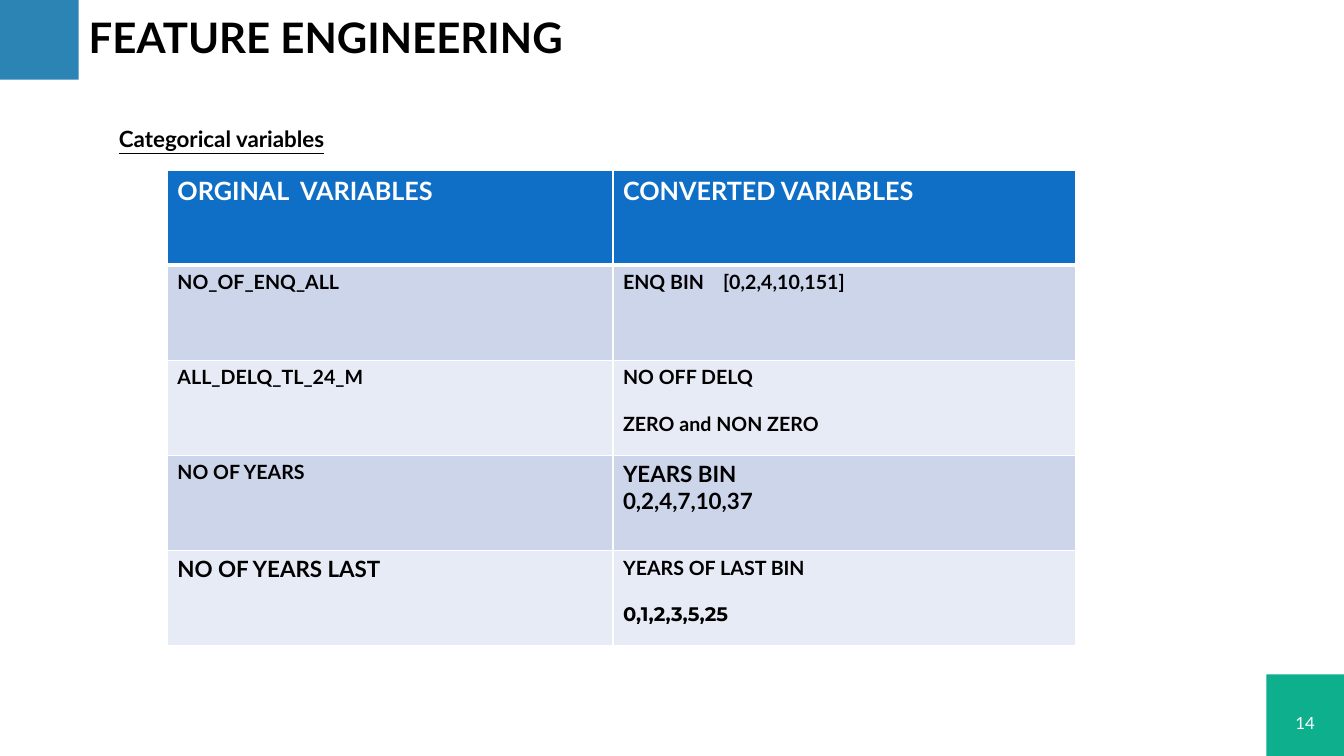
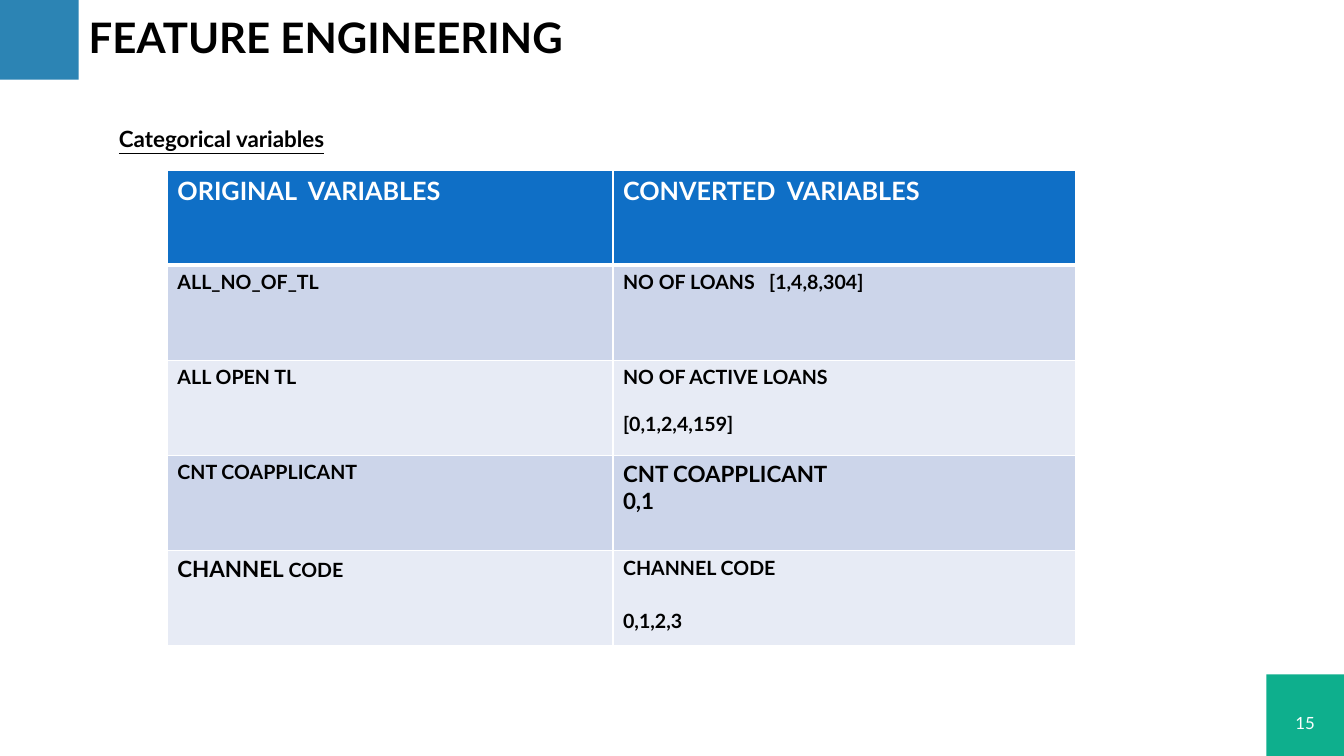
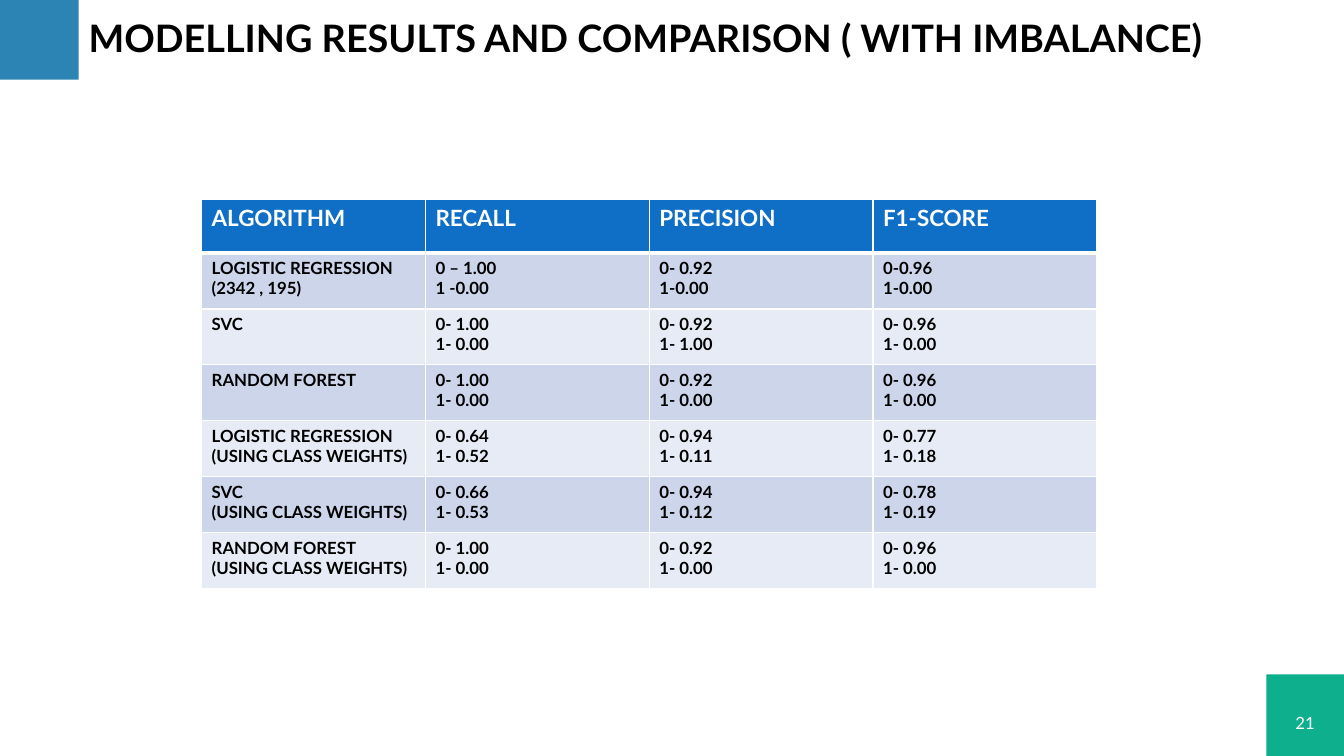
from dataclasses import dataclass

from lxml.etree import SubElement
from pptx import Presentation
from pptx.dml.color import RGBColor
from pptx.enum.shapes import MSO_SHAPE as Preset
from pptx.enum.text import MSO_ANCHOR as Anchor, MSO_AUTO_SIZE as AutoSize, PP_ALIGN as Align
from pptx.oxml.ns import qn
from pptx.oxml.xmlchemy import OxmlElement
from pptx.util import Inches, Pt

LATO, MONTSERRAT = "Lato", "Montserrat"
BLACK, WHITE = "000000", "FFFFFF"
HEADER_FILL = "0F6FC6"
ROW_FILLS = ("CCD5EA", "E7EBF5")
TITLE_AND_BODY, TITLE_ONLY = 1, 5


@dataclass(frozen=True)
class Band:
    left: float
    top: float
    width: float
    height: float
    fill: str


@dataclass(frozen=True)
class Line:
    """One paragraph of a cell; the tail follows in the table's normal size."""
    text: str
    size: float | None = None
    gap: float = 0
    font: str = LATO
    tail: str = ""


Cell = str | tuple[str | Line, ...]


@dataclass(frozen=True)
class Grid:
    left: float
    top: float
    height: float
    header_height: float
    columns: tuple[float, ...]
    header_size: float
    body_size: float
    rows: tuple[tuple[Cell, ...], ...]


@dataclass(frozen=True)
class Page:
    number: int
    title: str
    title_size: float
    grid: Grid
    subtitle: str = ""


BANDS = (
    Band(0, 0, 0.78, 0.79, "2C84B4"),
    Band(12.56, 6.69, 0.78, 0.81, "0EAF8D"),
)


def variables_page(number: int, *rows: tuple[Cell, Cell]) -> Page:
    grid = Grid(1.66, 1.69, 4.72, 0.94, (4.42, 4.59), 18, 14, rows)
    return Page(number, "FEATURE ENGINEERING", 30, grid, "Categorical variables")


PAGES = (
    variables_page(
        14,
        ("ORGINAL  VARIABLES", "CONVERTED VARIABLES"),
        ("NO_OF_ENQ_ALL", "ENQ BIN    [0,2,4,10,151]"),
        ("ALL_DELQ_TL_24_M", ("NO OFF DELQ", Line("ZERO and NON ZERO", gap=16.8))),
        ("NO OF YEARS", (Line("YEARS BIN", 16), Line("0,2,4,7,10,37", 16))),
        ((Line("NO OF YEARS LAST", 16),),
         ("YEARS OF LAST BIN", Line("0,1,2,3,5,25", gap=16.8, font=MONTSERRAT))),
    ),
    variables_page(
        15,
        ("ORIGINAL  VARIABLES", "CONVERTED  VARIABLES"),
        ("ALL_NO_OF_TL", "NO OF LOANS   [1,4,8,304]"),
        ("ALL OPEN TL", ("NO OF ACTIVE LOANS", Line("[0,1,2,4,159]", gap=16.8))),
        ("CNT COAPPLICANT", (Line("CNT COAPPLICANT", 16), Line("0,1", 16))),
        ((Line("CHANNEL ", 16, tail="CODE"),),
         ("CHANNEL CODE", Line("0,1,2,3", gap=21.6))),
    ),
    Page(21, "MODELLING RESULTS AND COMPARISON ( WITH IMBALANCE)", 27, Grid(
        2, 1.98, 3.86, 0.53, (2.22,) * 4, 16, 12, (
            ("ALGORITHM", "RECALL", "PRECISION", "F1-SCORE"),
            (("LOGISTIC REGRESSION", "(2342 , 195)"),
             ("0 – 1.00", "1 -0.00"), ("0- 0.92", "1-0.00"), ("0-0.96", "1-0.00")),
            ("SVC",
             ("0- 1.00", "1- 0.00"), ("0- 0.92", "1- 1.00"), ("0- 0.96", "1- 0.00")),
            ("RANDOM FOREST",
             ("0- 1.00", "1- 0.00"), ("0- 0.92", "1- 0.00"), ("0- 0.96", "1- 0.00")),
            (("LOGISTIC REGRESSION", "(USING CLASS WEIGHTS)"),
             ("0- 0.64", "1- 0.52"), ("0- 0.94", "1- 0.11"), ("0- 0.77", "1- 0.18")),
            (("SVC", "(USING CLASS WEIGHTS)"),
             ("0- 0.66", "1- 0.53"), ("0- 0.94", "1- 0.12"), ("0- 0.78", "1- 0.19")),
            (("RANDOM FOREST", "(USING CLASS WEIGHTS)"),
             ("0- 1.00", "1- 0.00"), ("0- 0.92", "1- 0.00"), ("0- 0.96", "1- 0.00")),
        ))),
)


def color(value: str) -> RGBColor:
    return RGBColor.from_string(value)


def set_font(font, size: float, value: str = BLACK, bold: bool = True, name: str = LATO) -> None:
    font.name, font.size, font.bold = name, Pt(size), bold
    font.color.rgb = color(value)


def place(shape, left: float, top: float, width: float, height: float) -> None:
    shape.left, shape.top = Inches(left), Inches(top)
    shape.width, shape.height = Inches(width), Inches(height)


def add_master_bands(prs, slide) -> None:
    """Draw the corner bands on a slide and move them to the master behind its text."""
    for position, band in enumerate(BANDS):
        corner = slide.shapes.add_shape(
            Preset.RECTANGLE, *map(Inches, (band.left, band.top, band.width, band.height)))
        corner.shadow.inherit = False
        corner.fill.solid()
        corner.fill.fore_color.rgb = color(band.fill)
        corner.line.fill.background()
        corner.element.nvSpPr.cNvPr.id = 101 + position
        prs.slide_master.shapes.element.insert(2 + position, corner.element)


def fill_placeholder(holder, text: str, size: float, anchor: Anchor):
    """Write one left-aligned heading and return its paragraph."""
    frame = holder.text_frame
    frame.text = text
    frame.auto_size = AutoSize.NONE
    frame.word_wrap = True
    frame.vertical_anchor = anchor
    heading = frame.paragraphs[0]
    heading.alignment = Align.LEFT
    heading.line_spacing = 0.9
    set_font(heading.font, size)
    return heading


def add_subtitle(slide, text: str) -> None:
    body = slide.placeholders[1]
    place(body, 0.95, 1.22, 11.5, 5.33)
    subtitle = fill_placeholder(body, text, 16, Anchor.TOP)
    subtitle.space_before = Pt(5.5)
    subtitle.font.underline = True
    properties = subtitle._p.get_or_add_pPr()
    properties.set("marL", str(Inches(0.13)))
    properties.set("indent", "0")
    properties.insert_element_before(OxmlElement("a:buNone"), "a:tabLst", "a:defRPr")


def add_page_number(slide, number: int) -> None:
    frame = slide.shapes.add_textbox(*map(Inches, (12.62, 6.97, 0.65, 0.4))).text_frame
    frame.word_wrap = True
    frame.vertical_anchor = Anchor.MIDDLE
    frame.text = str(number)
    frame.paragraphs[0].alignment = Align.CENTER
    set_font(frame.paragraphs[0].font, 12, WHITE, bold=False)


def set_borders(cell, top: float, bottom: float) -> None:
    properties = cell._tc.get_or_add_tcPr()
    sides = (("a:lnL", 1), ("a:lnR", 1), ("a:lnT", top), ("a:lnB", bottom))
    for position, (tag, width) in enumerate(sides):
        border = OxmlElement(tag)
        border.set("w", str(Pt(width)))
        SubElement(SubElement(border, qn("a:solidFill")), qn("a:srgbClr")).set("val", WHITE)
        properties.insert(position, border)


def fill_cell(cell, content: Cell, size: float, value: str) -> None:
    lines = (content,) if isinstance(content, str) else content
    frame = cell.text_frame
    for position, entry in enumerate(lines):
        line = Line(entry) if isinstance(entry, str) else entry
        paragraph = frame.add_paragraph() if position else frame.paragraphs[0]
        paragraph.space_before = Pt(line.gap)
        set_font(paragraph.font, line.size or size, value, name=line.font)
        paragraph.add_run().text = line.text
        if line.tail:
            tail = paragraph.add_run()
            tail.text = line.tail
            tail.font.size = Pt(size)


def add_grid(slide, grid: Grid) -> None:
    table = slide.shapes.add_table(
        len(grid.rows), len(grid.columns),
        *map(Inches, (grid.left, grid.top, sum(grid.columns), grid.height))).table
    table.horz_banding = False
    for column, width in zip(table.columns, grid.columns):
        column.width = Inches(width)
    row_height = (grid.height - grid.header_height) / (len(grid.rows) - 1)
    for index, contents in enumerate(grid.rows):
        header = index == 0
        table.rows[index].height = Inches(grid.header_height if header else row_height)
        for cell, content in zip(table.rows[index].cells, contents):
            cell.fill.solid()
            cell.fill.fore_color.rgb = color(HEADER_FILL if header else ROW_FILLS[(index - 1) % 2])
            set_borders(cell, top=3 if index == 1 else 1, bottom=3 if header else 1)
            fill_cell(cell, content, grid.header_size if header else grid.body_size,
                      WHITE if header else BLACK)


def add_page(prs, page: Page):
    layout = TITLE_AND_BODY if page.subtitle else TITLE_ONLY
    slide = prs.slides.add_slide(prs.slide_layouts[layout])
    place(slide.shapes.title, 0.78, 0, 11.5, 0.79)
    fill_placeholder(slide.shapes.title, page.title, page.title_size, Anchor.MIDDLE)
    if page.subtitle:
        add_subtitle(slide, page.subtitle)
    add_page_number(slide, page.number)
    add_grid(slide, page.grid)
    return slide


def main() -> None:
    prs = Presentation()
    prs.slide_width, prs.slide_height = Inches(13.33), Inches(7.5)
    slides = [add_page(prs, page) for page in PAGES]
    add_master_bands(prs, slides[0])
    prs.save("out.pptx")


if __name__ == "__main__":
    main()
